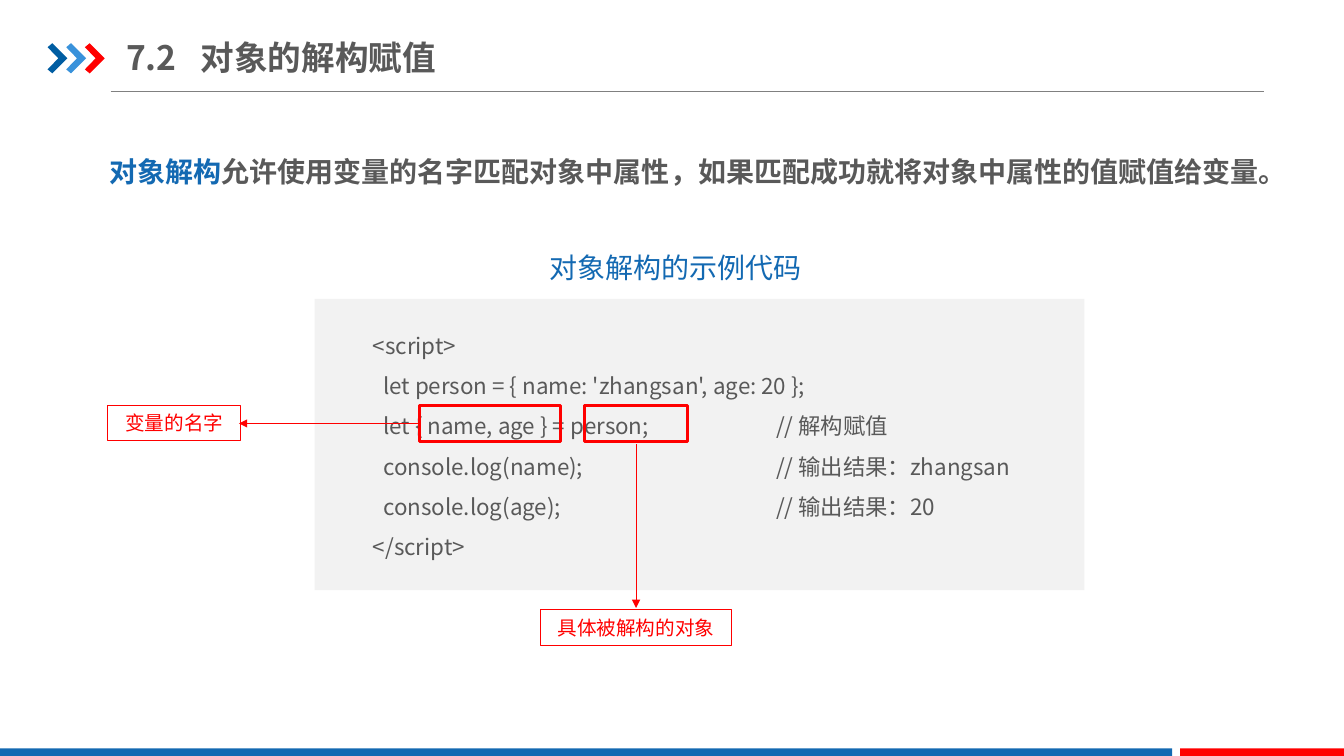
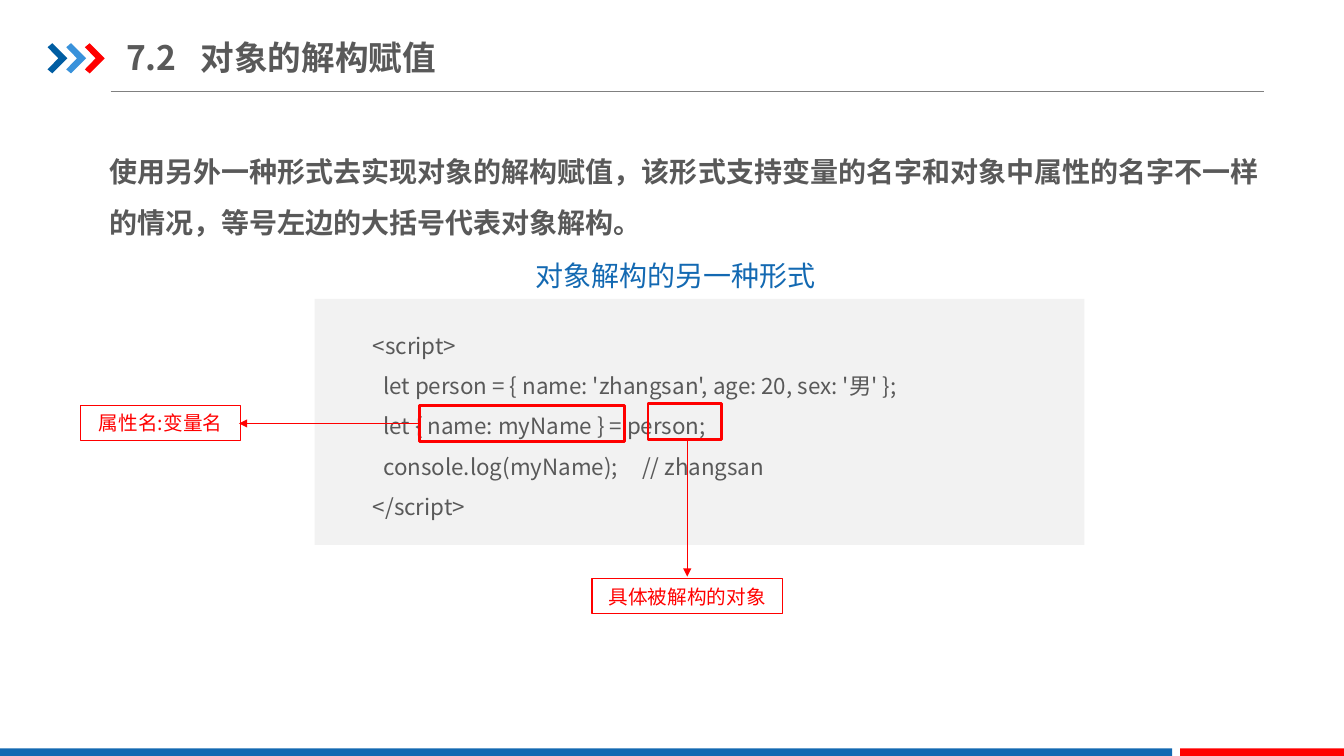
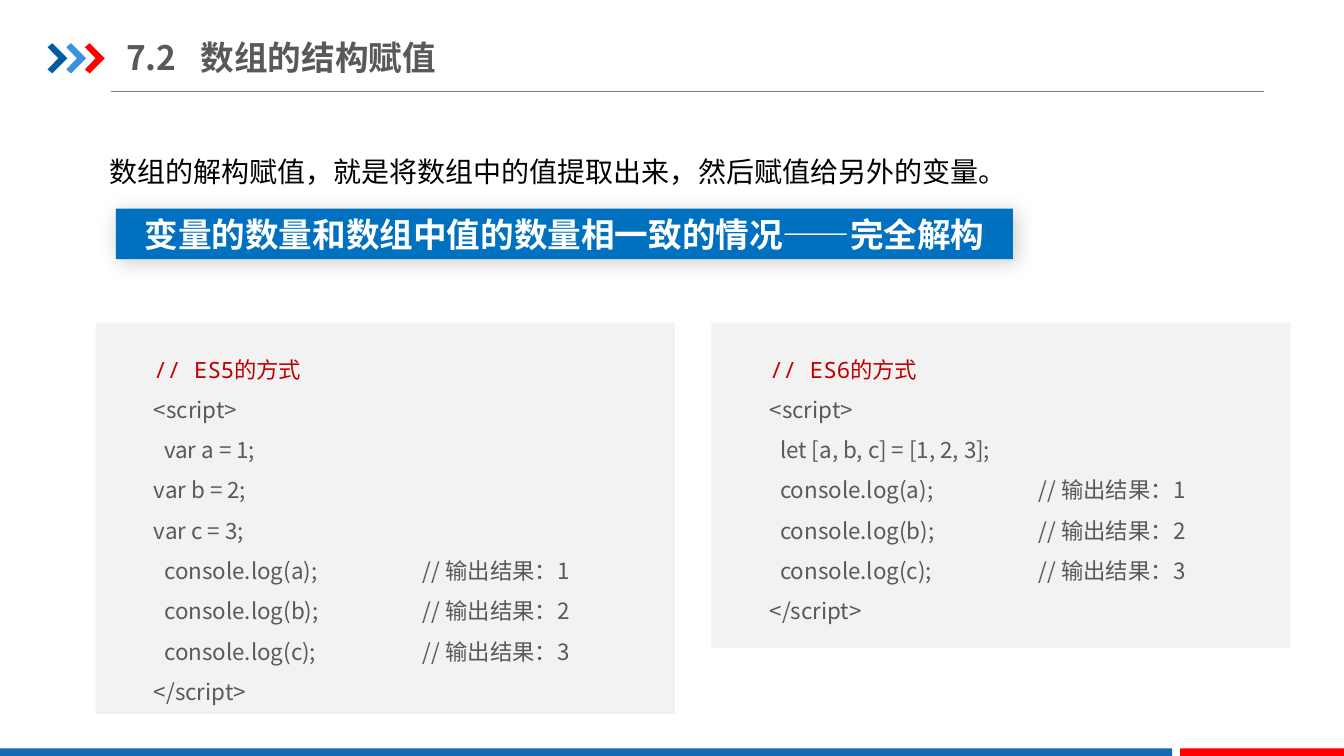
from dataclasses import dataclass
from typing import Any, NamedTuple

import lxml.etree
import pptx
import pptx.dml.color
import pptx.enum.shapes
import pptx.enum.text
import pptx.oxml.ns
import pptx.util

Cm = pptx.util.Cm
Pt = pptx.util.Pt
ALIGN = pptx.enum.text.PP_ALIGN
ANCHOR = pptx.enum.text.MSO_ANCHOR
FIT = pptx.enum.text.MSO_AUTO_SIZE

COLORS = {
    "text": "595959", "black": "000000", "white": "FFFFFF", "blue": "1369B2",
    "banner": "0070C0", "panel": "F2F2F2", "red": "FF0000", "note": "C00000",
    "rule": "808080", "navy": "005DA2", "sky": "3992DB",
}
SANS = "Noto Sans CJK SC"
MONO = "Noto Sans Mono"
CHEVRON = [(0, 0.1), (0.12, 0), (0.5, 0.38), (0.12, 0.76), (0, 0.66), (0.27, 0.38)]
WIDE_INSETS = (0.33, 0.18)
CODE_INDENT = 0.26
ARROW_GAP = 0.05
LABEL_HEIGHT = 0.89


class Box(NamedTuple):
    """A rectangle in centimetres."""
    left: float
    top: float
    width: float
    height: float

    def lengths(self) -> list[int]:
        """Return the four values as slide lengths."""
        return [Cm(value) for value in self]


class Span(NamedTuple):
    """A piece of text with one format."""
    text: str
    size: float
    color: str = "text"
    bold: bool = False
    font: str = SANS
    outlined: bool = False


class CodeLine(NamedTuple):
    """One line of code and the comment in its comment column."""
    code: str
    indented: bool = False
    comment: str = ""
    heading: bool = False


@dataclass
class Listing:
    """A grey panel of code; comments start one tab from the text edge."""
    panel: Box
    lines: list[CodeLine]
    tab: float = 6.78


@dataclass
class ObjectExample:
    """A captioned listing whose two halves of an assignment are labelled."""
    caption: str
    caption_box: Box
    listing: Listing
    names_frame: Box
    names_label: str
    names_label_width: float
    object_frame: Box
    object_arrow_x: float
    object_arrow_top: float
    object_label_top: float


def rgb(name: str) -> pptx.dml.color.RGBColor:
    """Look up a colour by name."""
    return pptx.dml.color.RGBColor.from_string(COLORS[name])


def add_node(parent: Any, tag: str, **attributes: str) -> Any:
    """Append a drawing element to an XML parent."""
    return lxml.etree.SubElement(parent, pptx.oxml.ns.qn(tag), attributes)


def add_span(para: Any, span: Span) -> None:
    """Add one formatted run to a paragraph."""
    run = para.add_run()
    run.text = span.text
    run.font.size = Pt(span.size)
    run.font.bold = span.bold
    run.font.name = span.font
    run.font.color.rgb = rgb(span.color)
    properties = run._r.get_or_add_rPr()
    add_node(properties, "a:ea", typeface=SANS)
    if span.outlined:
        outline = add_node(properties, "a:ln", w=str(Pt(0.75)))
        fill = add_node(outline, "a:solidFill")
        add_node(fill, "a:srgbClr", val=COLORS[span.color])
        properties.insert(0, outline)


def add_tab_stop(para: Any, position: float) -> None:
    """Give a paragraph one left tab stop."""
    stops = add_node(para._p.get_or_add_pPr(), "a:tabLst")
    add_node(stops, "a:tab", pos=str(Cm(position)), algn="l")


def set_frame(frame: Any, insets: tuple[float, float] | None = None,
              fit: Any = FIT.SHAPE_TO_FIT_TEXT, anchor: Any = ANCHOR.TOP) -> None:
    """Set wrapping, fitting, anchor and margins of a text frame."""
    frame.word_wrap = True
    frame.auto_size = fit
    frame.vertical_anchor = anchor
    if insets:
        frame.margin_left = frame.margin_right = Cm(insets[0])
        frame.margin_top = frame.margin_bottom = Cm(insets[1])


def place(shape: Any, box: Box) -> None:
    """Move a shape to a box."""
    shape.left, shape.top, shape.width, shape.height = box.lengths()


def paint(shape: Any, fill: str | None = None, line: str | None = None,
          weight: float = 0.75) -> None:
    """Set fill and line of a shape and drop its shadow."""
    shape.shadow.inherit = False
    if fill:
        shape.fill.solid()
        shape.fill.fore_color.rgb = rgb(fill)
    else:
        shape.fill.background()
    if line:
        shape.line.color.rgb = rgb(line)
        shape.line.width = Pt(weight)
    else:
        shape.line.fill.background()


def add_rectangle(page: Any, box: Box, fill: str | None = None,
                  line: str | None = None, weight: float = 0.75) -> Any:
    """Add a rectangle."""
    shape = page.shapes.add_shape(pptx.enum.shapes.MSO_SHAPE.RECTANGLE, *box.lengths())
    paint(shape, fill, line, weight)
    return shape


def add_line(page: Any, start: tuple[float, float], end: tuple[float, float],
             color: str, arrow: bool = False) -> Any:
    """Add a straight line, with an arrowhead at its end if asked."""
    points = [Cm(value) for value in (*start, *end)]
    line = page.shapes.add_connector(pptx.enum.shapes.MSO_CONNECTOR.STRAIGHT, *points)
    line.line.color.rgb = rgb(color)
    line.line.width = Pt(0.75)
    properties = line.element.spPr
    if arrow:
        add_node(properties.find(pptx.oxml.ns.qn("a:ln")), "a:tailEnd", type="triangle")
    add_node(properties, "a:effectLst")
    return line


def add_chevron(page: Any, left: float, top: float, color: str) -> Any:
    """Add one chevron of the title mark."""
    points = [(Cm(left + x), Cm(top + y)) for x, y in CHEVRON]
    builder = page.shapes.build_freeform(*points[0])
    builder.add_line_segments(points[1:], close=True)
    shape = builder.convert_to_shape()
    paint(shape, color)
    return shape


def furnish_layout(layout: Any, page: Any) -> None:
    """Draw the shared parts on a page and move them to its layout."""
    for placeholder in list(layout.placeholders):
        if placeholder.placeholder_format.idx >= 10:
            placeholder.element.getparent().remove(placeholder.element)
    place(layout.placeholders[0], Box(3.18, 0.74, 10.82, 1.4))
    parts = [add_line(page, (2.79, 2.31), (31.85, 2.31), "rule")]
    for index, color in enumerate(("navy", "sky", "red")):
        parts.append(add_chevron(page, 1.2 + 0.47 * index, 1.09, color))
    parts.append(add_rectangle(page, Box(0, 18.86, 29.54, 0.19), "blue"))
    parts.append(add_rectangle(page, Box(29.74, 18.86, 4.13, 0.19), "red"))
    for part in parts:
        layout.shapes.element.append(part.element)


def fill_title(page: Any, number: str, title: str) -> None:
    """Write the section number and the title."""
    frame = page.shapes.title.text_frame
    set_frame(frame, (0, 0.18), FIT.NONE, ANCHOR.MIDDLE)
    para = frame.paragraphs[0]
    para.alignment = ALIGN.LEFT
    add_tab_stop(para, 1.88)
    add_span(para, Span(f"{number}\t{title}", 24, bold=True))


def fill_intro(page: Any, spans: list[Span], width: float = 30.33,
               height: float = 1.48) -> None:
    """Write the opening statement in the body placeholder."""
    body = page.placeholders[1]
    place(body, Box(2.42, 3.3, width, height))
    set_frame(body.text_frame, WIDE_INSETS)
    para = body.text_frame.paragraphs[0]
    para.line_spacing = 1.5
    para.space_before = Pt(0)
    properties = para._p.get_or_add_pPr()
    properties.set("marL", "0")
    properties.set("indent", "0")
    add_node(properties, "a:buNone")
    for span in spans:
        add_span(para, span)


def add_listing(page: Any, listing: Listing) -> None:
    """Add a code panel with its lines."""
    panel = listing.panel
    add_rectangle(page, panel, "panel")
    text_box = Box(panel.left + 1.22, panel.top + 0.37, panel.width - 1.82,
                   0.25 + 1.02 * len(listing.lines))
    frame = page.shapes.add_textbox(*text_box.lengths()).text_frame
    set_frame(frame)
    for index, line in enumerate(listing.lines):
        para = frame.add_paragraph() if index else frame.paragraphs[0]
        para.line_spacing = 1.5
        properties = para._p.get_or_add_pPr()
        properties.set("defTabSz", str(Cm(listing.tab)))
        if line.indented:
            properties.set("indent", str(Cm(CODE_INDENT)))
        if line.heading:
            add_span(para, Span(line.code, 16, "note", font=MONO))
            continue
        comment = f"\t// {line.comment}" if line.comment else ""
        add_span(para, Span(line.code + comment, 16))


def add_label(page: Any, box: Box, text: str) -> None:
    """Add a red-framed label."""
    frame = add_rectangle(page, box, line="red").text_frame
    set_frame(frame, fit=FIT.NONE, anchor=ANCHOR.MIDDLE)
    para = frame.paragraphs[0]
    para.alignment = ALIGN.CENTER
    add_span(para, Span(text, 14, "red", outlined=True))


def add_caption(page: Any, box: Box, text: str) -> None:
    """Add the blue caption above a listing."""
    frame = page.shapes.add_textbox(*box.lengths()).text_frame
    set_frame(frame, WIDE_INSETS)
    para = frame.paragraphs[0]
    para.alignment = ALIGN.CENTER
    para.line_spacing = 1.5
    add_span(para, Span(text, 20, "blue"))


def add_object_example(page: Any, example: ObjectExample) -> None:
    """Add a listing with its caption, frames, arrows and labels."""
    add_listing(page, example.listing)
    add_caption(page, example.caption_box, example.caption)
    add_rectangle(page, example.object_frame, line="red", weight=2)

    label_right, arrow_y = 6.07, 10.67
    add_line(page, (example.names_frame.left, arrow_y),
             (label_right - ARROW_GAP, arrow_y), "red", arrow=True)
    width = example.names_label_width
    add_label(page, Box(label_right - width, 10.21, width, LABEL_HEIGHT),
              example.names_label)

    center, top, width = example.object_arrow_x, example.object_label_top, 4.8
    add_line(page, (center, example.object_arrow_top),
             (center, top - ARROW_GAP), "red", arrow=True)
    add_label(page, Box(center - width / 2, top, width, LABEL_HEIGHT), "具体被解构的对象")
    add_rectangle(page, example.names_frame, line="red", weight=2)


def add_banner(page: Any, box: Box, text: str) -> None:
    """Add the blue banner with its soft shadow."""
    banner = add_rectangle(page, box, "banner")
    effects = banner.element.spPr.find(pptx.oxml.ns.qn("a:effectLst"))
    shadow = add_node(effects, "a:outerShdw", blurRad=str(Pt(15)), dist=str(Pt(3)),
                      dir="2700000", algn="tl", rotWithShape="0")
    color = add_node(shadow, "a:srgbClr", val=COLORS["black"])
    add_node(color, "a:alpha", val="20000")
    set_frame(banner.text_frame, anchor=ANCHOR.MIDDLE)
    para = banner.text_frame.paragraphs[0]
    para.alignment = ALIGN.CENTER
    add_span(para, Span(text, 24, "white", bold=True))


def script_lines(*lines: CodeLine) -> list[CodeLine]:
    """Wrap code lines in script tags."""
    return [CodeLine("<script>"), *lines, CodeLine("</script>")]


def log_lines() -> list[CodeLine]:
    """Return the lines that print a, b and c."""
    return [CodeLine(f"console.log({name});", True, f"输出结果：{value}")
            for value, name in enumerate("abc", start=1)]


MATCHING_NAMES = ObjectExample(
    caption="对象解构的示例代码",
    caption_box=Box(10.93, 5.72, 12.19, 1.48),
    listing=Listing(Box(7.93, 7.53, 19.4, 7.34), script_lines(
        CodeLine("let person = { name: 'zhangsan', age: 20 };", True),
        CodeLine("let { name, age } = person;", True, "解构赋值"),
        CodeLine("console.log(name);", True, "输出结果：zhangsan"),
        CodeLine("console.log(age);", True, "输出结果：20"),
    ), tab=10.16),
    names_frame=Box(10.57, 10.21, 3.56, 0.91),
    names_label="变量的名字",
    names_label_width=3.35,
    object_frame=Box(14.73, 10.21, 2.59, 0.91),
    object_arrow_x=16.03,
    object_arrow_top=11.2,
    object_label_top=15.37,
)
RENAMED_VARIABLE = ObjectExample(
    caption="对象解构的另一种形式",
    caption_box=Box(10.93, 5.92, 12.19, 1.63),
    listing=Listing(Box(7.93, 7.53, 19.4, 6.2), script_lines(
        CodeLine("let person = { name: 'zhangsan', age: 20, sex: '男' };", True),
        CodeLine("let { name: myName } = person;", True),
        CodeLine("console.log(myName);", True, "zhangsan"),
    )),
    names_frame=Box(10.57, 10.21, 5.16, 0.91),
    names_label="属性名:变量名",
    names_label_width=4.04,
    object_frame=Box(16.33, 10.16, 1.85, 0.91),
    object_arrow_x=17.32,
    object_arrow_top=11.07,
    object_label_top=14.58,
)
ES5_LISTING = Listing(Box(2.41, 8.13, 14.6, 9.86), [
    CodeLine("// ES5的方式", heading=True),
    *script_lines(CodeLine("var a = 1;", True), CodeLine("var b = 2;"),
                  CodeLine("var c = 3;"), *log_lines()),
])
ES6_LISTING = Listing(Box(17.93, 8.13, 14.6, 8.2), [
    CodeLine("// ES6的方式", heading=True),
    *script_lines(CodeLine("let [a, b, c] = [1, 2, 3];", True), *log_lines()),
])


def main() -> None:
    """Build and save the deck."""
    deck = pptx.Presentation()
    deck.slide_width, deck.slide_height = Cm(33.87), Cm(19.05)
    layout = deck.slide_layouts[1]
    matching, renamed, arrays = [deck.slides.add_slide(layout) for _ in range(3)]
    furnish_layout(layout, matching)

    fill_title(matching, "7.2", "对象的解构赋值")
    fill_intro(matching, [
        Span("对象解构", 20, "blue", bold=True),
        Span("允许使用变量的名字匹配对象中属性，如果匹配成功就将对象中属性的值赋值给变量。",
             20, bold=True),
    ])
    add_object_example(matching, MATCHING_NAMES)

    fill_title(renamed, "7.2", "对象的解构赋值")
    fill_intro(renamed, [Span(
        "使用另外一种形式去实现对象的解构赋值，该形式支持变量的名字和对象中属性的名字不一样"
        "的情况，等号左边的大括号代表对象解构。", 20, bold=True)], height=2.75)
    add_object_example(renamed, RENAMED_VARIABLE)

    fill_title(arrays, "7.2", "数组的结构赋值")
    fill_intro(arrays, [Span(
        "数组的解构赋值，就是将数组中的值提取出来，然后赋值给另外的变量。", 20, "black")], width=29)
    add_listing(arrays, ES6_LISTING)
    add_banner(arrays, Box(2.92, 5.26, 22.61, 1.27),
               "变量的数量和数组中值的数量相一致的情况——完全解构")
    add_listing(arrays, ES5_LISTING)

    deck.save("out.pptx")


main()
